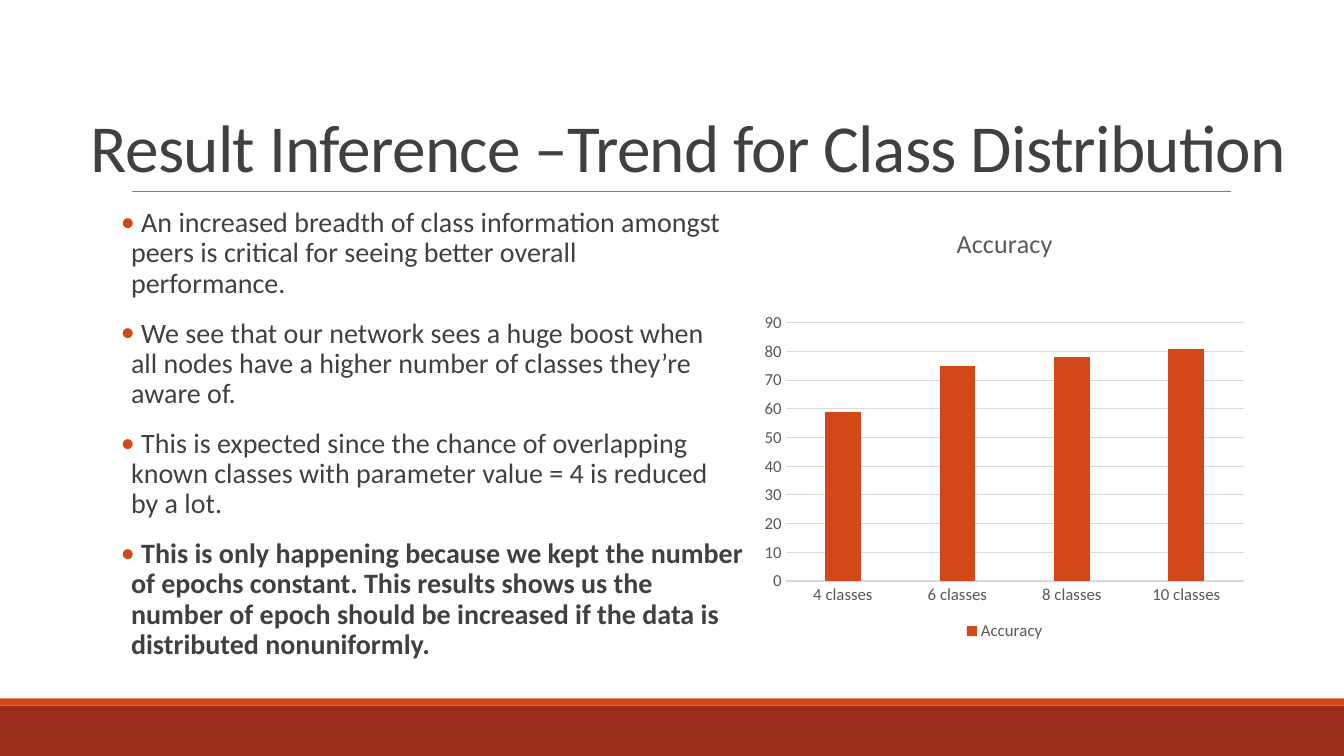
from lxml import etree
from pptx import Presentation
from pptx import util as u
from pptx.chart.data import CategoryChartData
from pptx.dml.color import RGBColor
from pptx.enum import chart as ch, shapes, text
from pptx.oxml import parse_xml
from pptx.oxml.ns import nsdecls, qn

FONT = "Calibri"
ORANGE, RED, DARK, GREY, GRID = "D34817", "9B2D1F", "404040", "595959", "D9D9D9"


def rgb(value):
    return RGBColor.from_string(value)


def box(*lengths):
    return [u.Inches(n) for n in lengths]


def set_font(font, size, color, bold=False):
    font.color.rgb = rgb(color)
    for name, value in dict(name=FONT, size=u.Pt(size), bold=bold).items():
        setattr(font, name, value)


class SlideBuilder:
    def __init__(self, prs):
        self.s = prs.slides.add_slide(prs.slide_layouts[5])

    def band(self, left, top, width, height, color):
        sp = self.s.shapes.add_shape(shapes.MSO_SHAPE.RECTANGLE,
                                     *box(left, top, width, height))
        sp.shadow.inherit = False
        sp.fill.solid()
        sp.fill.fore_color.rgb = rgb(color)
        sp.line.fill.background()

    def rule(self, x1, x2, y, color):
        line = self.s.shapes.add_connector(shapes.MSO_CONNECTOR.STRAIGHT,
                                           *box(x1, y, x2, y))
        line.line.color.rgb = rgb(color)
        line.line.width = u.Pt(0.5)
        etree.SubElement(line._element.spPr, qn("a:effectLst"))

    def title(self, words, left, top, width, height):
        sp = self.s.shapes.title
        sp.left, sp.top, sp.width, sp.height = box(left, top, width, height)
        tf = sp.text_frame
        formats = dict(vertical_anchor=text.MSO_ANCHOR.BOTTOM, word_wrap=True,
                       auto_size=text.MSO_AUTO_SIZE.NONE)
        for name, value in formats.items():
            setattr(tf, name, value)
        p = tf.paragraphs[0]
        p.alignment, p.line_spacing = text.PP_ALIGN.LEFT, 0.85
        r = p.add_run()
        r.text = words
        set_font(r.font, 48, DARK)
        r.font._element.set("spc", "-50")

    def bullets(self, items, left, top, width, height):
        tf = self.s.shapes.add_textbox(*box(left, top, width, height)).text_frame
        tf.word_wrap = True
        tf.margin_left = tf.margin_right = 0
        for i, (words, bold) in enumerate(items):
            p = tf.add_paragraph() if i else tf.paragraphs[0]
            pPr = p._p.get_or_add_pPr()
            pPr.set("marL", str(u.Inches(0.1)))
            pPr.set("indent", str(-u.Inches(0.1)))
            color = etree.SubElement(pPr, qn("a:buClr"))
            etree.SubElement(color, qn("a:srgbClr"), val=ORANGE)
            etree.SubElement(pPr, qn("a:buFont"), typeface=FONT)
            etree.SubElement(pPr, qn("a:buChar"), char="•")
            formats = dict(line_spacing=0.9, space_after=u.Pt(2),
                           space_before=u.Pt(12 if i else 0))
            for name, value in formats.items():
                setattr(p, name, value)
            for n, part in enumerate(words.split("\n")):
                if n:
                    p.add_line_break()
                r = p.add_run()
                r.text = part
                set_font(r.font, 20, DARK, bold)

    def column_chart(self, name, values, left, top, width, height, plot_area):
        data = CategoryChartData()
        data.categories = list(values)
        data.add_series(name, list(values.values()))
        chart = self.s.shapes.add_chart(ch.XL_CHART_TYPE.COLUMN_CLUSTERED,
                                        *box(left, top, width, height), data).chart
        set_font(chart.font, 12, GREY)

        # Title and legend
        chart.has_title = chart.has_legend = True
        r = chart.chart_title.text_frame.paragraphs[0].add_run()
        r.text = name
        set_font(r.font, 18.6, GREY)
        chart.legend.position = ch.XL_LEGEND_POSITION.BOTTOM
        chart.legend.include_in_layout = False
        set_font(chart.legend.font, 12, GREY)

        # Columns
        plot = chart.plots[0]
        formats = dict(gap_width=219, overlap=-27, vary_by_categories=False)
        for key, value in formats.items():
            setattr(plot, key, value)
        fill = plot.series[0].format.fill
        fill.solid()
        fill.fore_color.rgb = rgb(ORANGE)

        # Axes
        for axis in (chart.category_axis, chart.value_axis):
            axis.major_tick_mark = axis.minor_tick_mark = ch.XL_TICK_MARK.NONE
            set_font(axis.tick_labels.font, 12, GREY)
        value_axis = chart.value_axis
        value_axis.minimum_scale, value_axis.maximum_scale = 0, 90
        value_axis.major_unit = 10
        value_axis.has_major_gridlines = True
        value_axis.format.line.fill.background()
        for part in (chart.category_axis, value_axis.major_gridlines):
            part.format.line.color.rgb = rgb(GRID)
            part.format.line.width = u.Pt(0.75)

        # Plot area, as fractions of the chart
        area = chart._chartSpace.chart.plotArea
        for old in area.findall(qn("c:layout")):
            area.remove(old)
        layout = parse_xml(f'<c:layout {nsdecls("c")}><c:manualLayout/></c:layout>')
        settings = [("layoutTarget", "inner"), ("xMode", "edge"), ("yMode", "edge")]
        settings += zip("xywh", plot_area)
        for tag, value in settings:
            etree.SubElement(layout[0], qn(f"c:{tag}"), val=str(value))
        area.insert(0, layout)


def main():
    prs = Presentation()
    prs.slide_width, prs.slide_height = box(13.33, 7.5)
    slide = SlideBuilder(prs)

    # Footer bands and title rule
    slide.band(0, 7, 13.33, 0.5, RED)
    slide.band(0, 6.93, 13.33, 0.07, ORANGE)
    slide.rule(1.31, 12.21, 1.9, "808080")

    # Title and findings
    slide.title("Result Inference –Trend for Class Distribution ",
                0.8, 0.31, 12.16, 1.59)
    slide.bullets([
        (" An increased breadth of class information amongst \n"
         "peers is critical for seeing better overall \nperformance.", False),
        (" We see that our network sees a huge boost when \n"
         "all nodes have a higher number of classes they’re \naware of.", False),
        (" This is expected since the chance of overlapping \n"
         "known classes with parameter value = 4 is reduced\nby a lot.", False),
        (" This is only happening because we kept the number of epochs constant. "
         "This results shows us the number of epoch should be increased if the "
         "data is distributed nonuniformly.", True),
    ], 1.2, 2.02, 6.21, 4.86)

    # Accuracy by number of classes
    accuracy = {"4 classes": 59, "6 classes": 75, "8 classes": 78, "10 classes": 81}
    slide.column_chart("Accuracy", accuracy, 7.41, 2.05, 5.11, 4.35,
                       (0.075, 0.265, 0.889, 0.589))
    prs.save("out.pptx")


if __name__ == "__main__":
    main()
